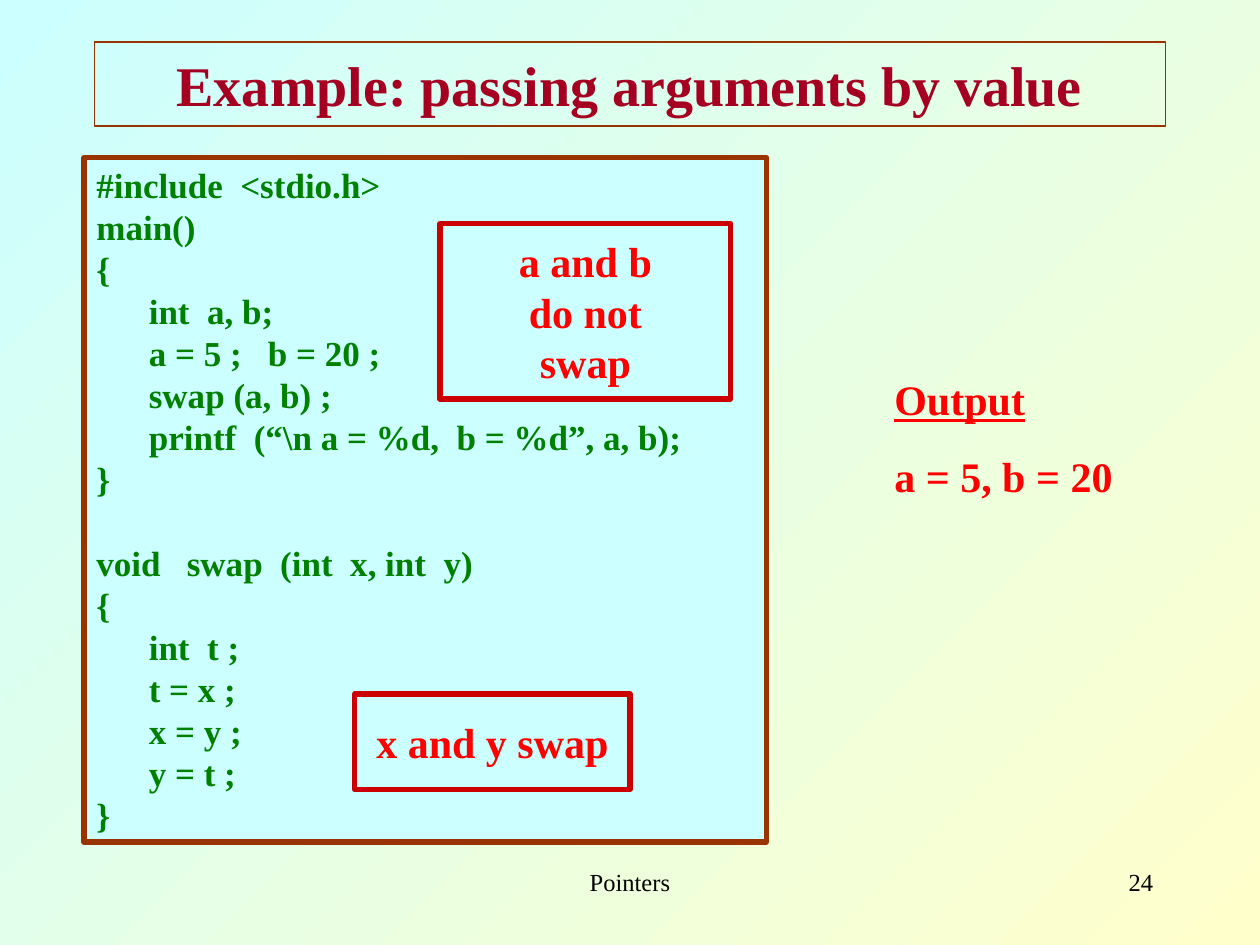
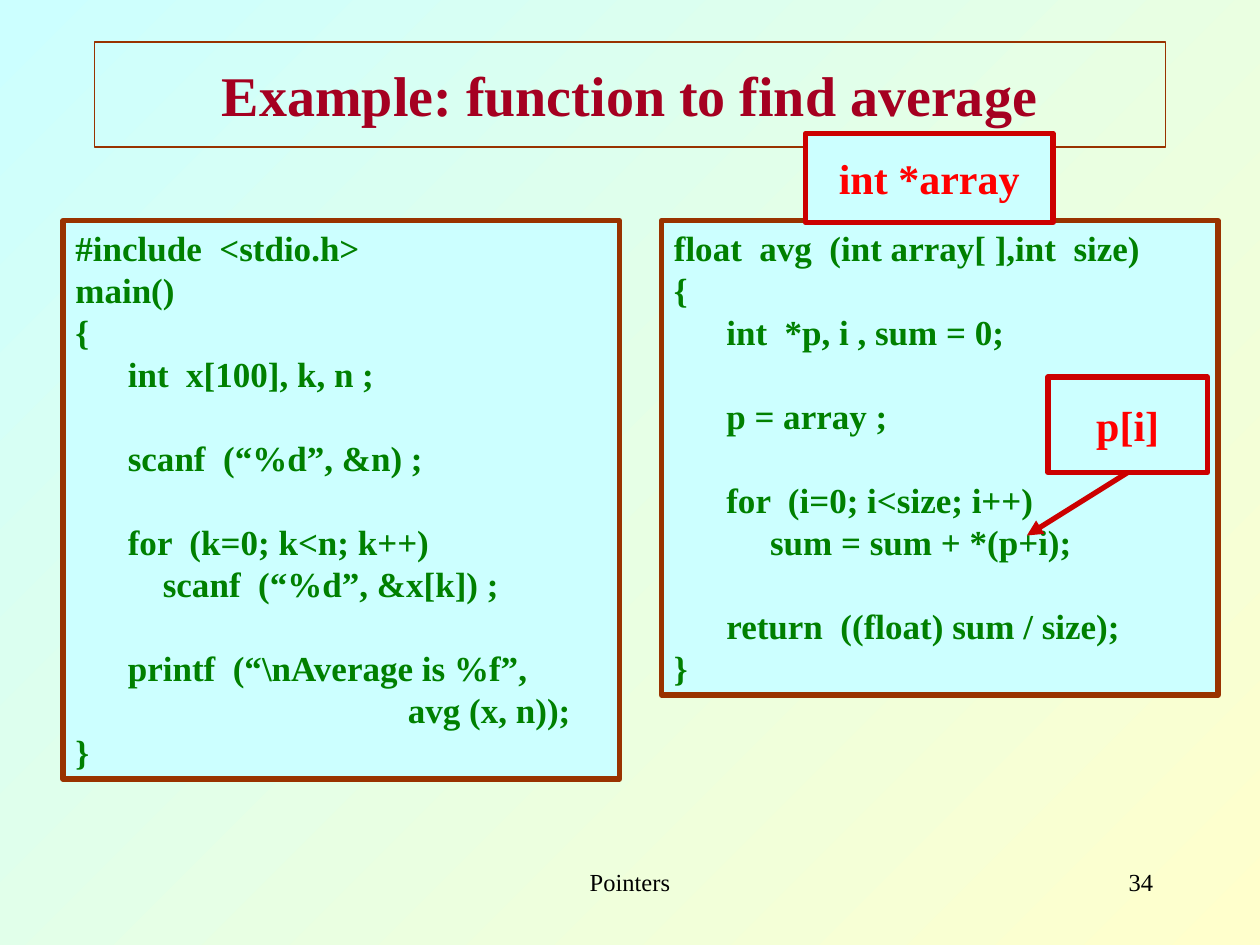
from lxml.etree import SubElement
from pptx import Presentation
from pptx.dml.color import RGBColor
from pptx.enum.shapes import MSO_CONNECTOR as Connector, MSO_SHAPE as Shape
from pptx.enum.text import MSO_ANCHOR as Anchor, PP_ALIGN as Align
from pptx.oxml.ns import qn
from pptx.util import Inches, Pt

# Places are (left, top, width, height) in grid units of 1/12 inch.
# A code panel has no height: its lines decide it.
# Leading spaces of code become indents, empty lines become spacing.
SLIDES = [
    {
        "title": "Example: passing arguments by value",
        "title_height": 8,
        "page": "24",
        "panels": [((8, 15, 65), r"""
#include  <stdio.h>
main()
{
      int  a, b;
      a = 5 ;   b = 20 ;
      swap (a, b) ;
      printf  (“\n a = %d,  b = %d”, a, b);
}

void   swap  (int  x, int  y)
{
      int  t ;
      t = x ;
      x = y ;
      y = t ;
}
""")],
        "output": ((84, 35, 30, 13.3), ["Output", "a = 5, b = 20"]),
        "callouts": [
            ((33.8, 66.1, 26.2, 9.1), ["x and y swap"]),
            ((41.9, 21.3, 27.7, 16.7), ["a and b", "do not", "swap"]),
        ],
    },
    {
        "title": "Example: function to find average",
        "title_height": 10,
        "page": "34",
        "panels": [((6, 21, 53), r"""
#include  <stdio.h>
main()
{
      int  x[100], k, n ;

      scanf  (“%d”, &n) ;

      for  (k=0; k<n; k++)
          scanf  (“%d”, &x[k]) ;

      printf  (“\nAverage is %f”,
                                      avg (x, n));
}
"""), ((63, 21, 53), r"""
float  avg  (int array[ ],int  size)
{
      int  *p, i , sum = 0;

      p = array ;

      for  (i=0; i<size; i++)
           sum = sum + *(p+i);

      return  ((float) sum / size);
}
""")],
        "callouts": [
            ((76.7, 12.7, 23.6, 8.5), ["int *array"]),
            ((99.8, 35.9, 15.2, 9.1), ["p[i]"]),
        ],
        "arrow": ((107.4, 45), (97.8, 51)),
    },
]
FOOTER = "Pointers"
FOOTER_AT = (41, 82, 38, 6)
PAGE_AT = (86, 82, 25, 6)
TITLE_LEFT, TITLE_TOP, TITLE_WIDTH = 9, 4, 102

THEME = {
    "font": "Times New Roman",
    "backdrop": ("CCFFFF", "FFFFCC"),
    "panel": "CCFFFF",
    "frame": "993300",
    "callout": "CC0000",
    "thin": 0.75,
    "thick": 3,
    "line_height": 1.2,
    "output_gap": 15,
    "title": {"size": 32, "color": "A50021", "bold": True},
    "code": {"size": 20, "color": "008000", "bold": True},
    "note": {"size": 24, "color": "FF0000", "bold": True},
    "footer": {"size": 14, "color": "000000", "bold": False},
}


def units(count):
    return Inches(count / 12)


def rgb(code):
    return RGBColor.from_string(code)


def outline(line, color, weight):
    line.color.rgb = rgb(color)
    line.width = Pt(weight)


def write(frame, lines, style, align=Align.LEFT, anchor=Anchor.TOP, wrap=True):
    """Fill a text frame with one paragraph per line and return them."""
    frame.word_wrap = wrap
    frame.vertical_anchor = anchor
    look = THEME[style]
    font = {"name": THEME["font"], "size": Pt(look["size"]), "bold": look["bold"]}
    paragraphs = []
    for index, text in enumerate(lines):
        paragraph = frame.add_paragraph() if index else frame.paragraphs[0]
        paragraph.alignment = align
        run = paragraph.add_run()
        run.text = text
        for key, value in font.items():
            setattr(run.font, key, value)
        run.font.color.rgb = rgb(look["color"])
        paragraphs.append(paragraph)
    return paragraphs


def add_label(slide, place, lines, style, align=Align.LEFT):
    label = slide.shapes.add_textbox(*map(units, place))
    return write(label.text_frame, lines, style, align)


def add_frame(slide, place, edge, weight, fill=None):
    frame = slide.shapes.add_shape(Shape.RECTANGLE, *map(units, place))
    frame.shadow.inherit = False
    if fill:
        frame.fill.solid()
        frame.fill.fore_color.rgb = rgb(fill)
    else:
        frame.fill.background()
    outline(frame.line, edge, weight)
    return frame.text_frame


def add_panel(slide, place, code):
    rows = code.strip("\n").split("\n")
    size = THEME["code"]["size"]
    pitch = size * THEME["line_height"]
    height = (len(rows) * pitch / 72 + 0.1) * 12
    frame = add_frame(slide, (*place, height), THEME["frame"], THEME["thick"], THEME["panel"])
    filled = [(number, row) for number, row in enumerate(rows) if row]
    paragraphs = write(frame, [row.lstrip() for _, row in filled], "code")
    previous = -1
    for paragraph, (number, row) in zip(paragraphs, filled):
        paragraph.space_before = Pt((number - previous - 1) * pitch)
        previous = number
        indent = len(row) - len(row.lstrip())
        properties = paragraph._p.get_or_add_pPr()
        properties.set("marL", str(Pt(indent * size / 4)))  # a space is a quarter em
        properties.set("indent", "0")


def add_callout(slide, place, lines):
    frame = add_frame(slide, place, THEME["callout"], THEME["thick"], THEME["panel"])
    write(frame, lines, "note", Align.CENTER, Anchor.MIDDLE, wrap=False)


def add_output(slide, place, lines):
    paragraphs = add_label(slide, place, lines, "note")
    for paragraph in paragraphs:
        paragraph.space_before = Pt(THEME["output_gap"])
    paragraphs[0].runs[0].font.underline = True


def add_arrow(slide, start, end):
    arrow = slide.shapes.add_connector(Connector.STRAIGHT, *map(units, start + end))
    outline(arrow.line, THEME["callout"], THEME["thick"])
    SubElement(arrow.line._get_or_add_ln(), qn("a:tailEnd"), type="triangle")
    SubElement(arrow._element.spPr, qn("a:effectLst"))


def paint_backdrop(slide):
    fill = slide.background.fill
    fill.gradient()
    fill.gradient_angle = 315
    for stop, color in zip(fill.gradient_stops, THEME["backdrop"]):
        stop.color.rgb = rgb(color)


def build_slide(deck, content):
    slide = deck.slides.add_slide(deck.slide_layouts[6])
    paint_backdrop(slide)
    add_label(slide, FOOTER_AT, [FOOTER], "footer", Align.CENTER)
    add_label(slide, PAGE_AT, [content["page"]], "footer", Align.RIGHT)
    title_at = (TITLE_LEFT, TITLE_TOP, TITLE_WIDTH, content["title_height"])
    title = add_frame(slide, title_at, THEME["frame"], THEME["thin"])
    write(title, [content["title"]], "title", Align.CENTER, Anchor.MIDDLE)
    for place, code in content["panels"]:
        add_panel(slide, place, code)
    if "output" in content:
        add_output(slide, *content["output"])
    for place, lines in content["callouts"]:
        add_callout(slide, place, lines)
    if "arrow" in content:
        add_arrow(slide, *content["arrow"])


def main():
    deck = Presentation()
    deck.slide_width, deck.slide_height = Inches(10), Inches(7.5)
    for content in SLIDES:
        build_slide(deck, content)
    deck.save("out.pptx")


if __name__ == "__main__":
    main()
